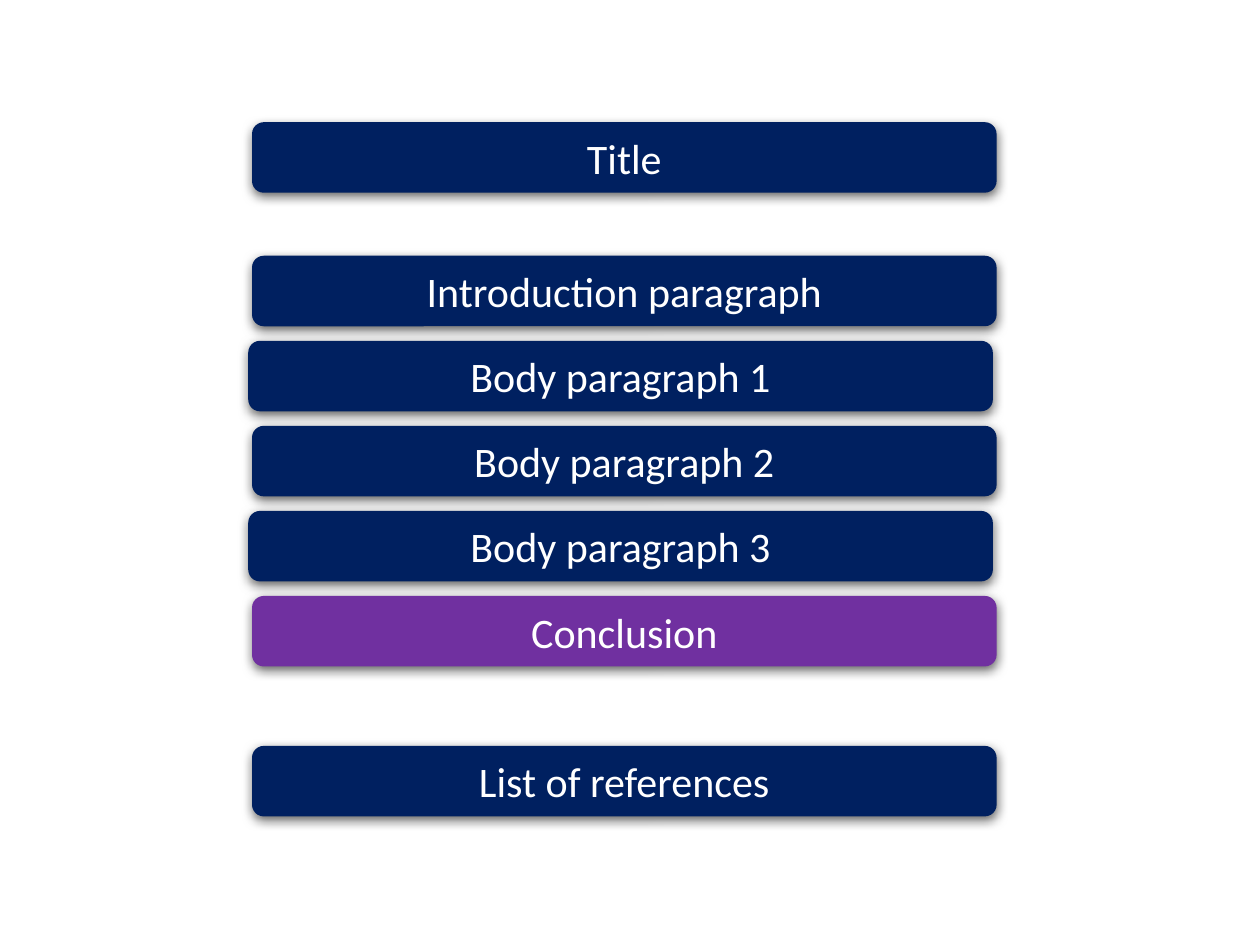
"""Build a slide that stacks the parts of an essay as rounded bars."""
from lxml import etree
from pptx import Presentation, util as u
from pptx.dml.color import RGBColor
from pptx.enum import shapes, text
from pptx.oxml import ns

HUES = {"navy": "002060", "purple": "7030A0", "white": "FFFFFF", "black": "000000"}
TITLE, LIST = "Title", "List of references"
PARTS = ["Introduction paragraph", "Body paragraph 1", "Body paragraph 2",
         "Body paragraph 3", "Conclusion"]
FILLS = {"Conclusion": "purple"}
LEFT, WIDTH, HEIGHT = 2, 5.91, 0.56
NUDGE = {"Body paragraph 1": -0.03, "Body paragraph 3": -0.03}
TOP, STEP = 2.03, 0.675
FONT = {"name": "Calibri", "size": u.Pt(24)}
FRAME = {"word_wrap": True, "auto_size": text.MSO_AUTO_SIZE.SHAPE_TO_FIT_TEXT,
         "vertical_anchor": text.MSO_ANCHOR.MIDDLE}
SHADE = {"blurRad": u.Pt(6), "dist": u.Pt(2), "dir": 90 * 60000,
         "algn": "ctr", "rotWithShape": 0}


def put(item, values):
    """Set each named value on the item."""
    for name, value in values.items():
        setattr(item, name, value)


def color(name):
    """Return the named colour."""
    return RGBColor.from_string(HUES[name])


def add_shade(bar):
    """Give the bar a soft shadow below it."""
    bar.shadow.inherit = False
    effects = bar._element.spPr.find(ns.qn("a:effectLst"))
    shade = etree.SubElement(effects, ns.qn("a:outerShdw"),
                             {key: str(value) for key, value in SHADE.items()})
    hue = etree.SubElement(shade, ns.qn("a:srgbClr"), val=HUES["black"])
    etree.SubElement(hue, ns.qn("a:alpha"), val="60000")


def add_bar(slide, label, top):
    """Add one labelled bar."""
    left = LEFT + NUDGE.get(label, 0)
    bar = slide.shapes.add_shape(shapes.MSO_SHAPE.ROUNDED_RECTANGLE,
                                 *map(u.Inches, (left, top, WIDTH, HEIGHT)))
    bar.fill.solid()
    bar.fill.fore_color.rgb = color(FILLS.get(label, "navy"))
    bar.line.fill.background()
    add_shade(bar)
    put(bar.text_frame, FRAME)
    para = bar.text_frame.paragraphs[0]
    para.alignment = text.PP_ALIGN.CENTER
    run = para.add_run()
    run.text = label
    put(run.font, FONT)
    run.font.color.rgb = color("white")


def main():
    """Lay out the bars and save the deck."""
    deck = Presentation()
    put(deck, {"slide_width": u.Inches(10), "slide_height": u.Inches(7.5)})
    slide = deck.slides.add_slide(deck.slide_layouts[6])
    stack = [(label, TOP + row * STEP) for row, label in enumerate(PARTS)]
    for label, top in [(TITLE, 0.97), *stack, (LIST, 5.92)]:
        add_bar(slide, label, top)
    deck.save("out.pptx")


if __name__ == "__main__":
    main()
